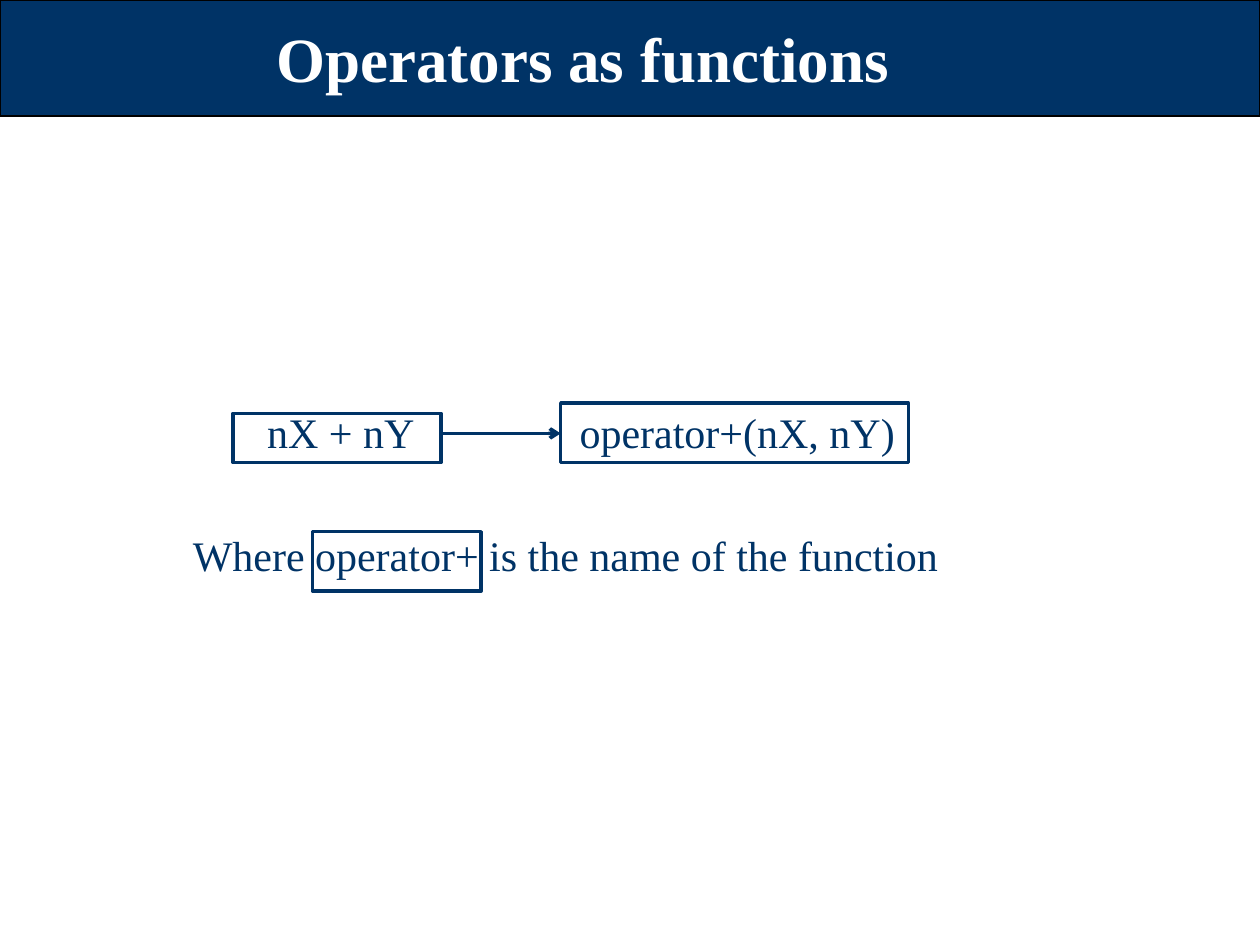
"""Build a slide that shows an operator expression as a function call."""
import pptx
import pptx.dml.color
import pptx.enum.shapes
import pptx.enum.text
import pptx.oxml.ns
import pptx.util
from lxml import etree

Inches = pptx.util.Inches
Pt = pptx.util.Pt
qn = pptx.oxml.ns.qn
RECTANGLE = pptx.enum.shapes.MSO_SHAPE.RECTANGLE
COLORS = {name: pptx.dml.color.RGBColor.from_string(value) for name, value in {
    "navy": "003366", "white": "FFFFFF", "black": "000000"}.items()}


def style_font(paragraph, size, color, bold):
    for run in paragraph.runs:
        run.font.name = "Times New Roman"
        run.font.size = Pt(size)
        run.font.bold = bold
        run.font.color.rgb = COLORS[color]


def add_rectangle(slide, left, top, width, height, line_color, line_width):
    shape = slide.shapes.add_shape(
        RECTANGLE, Inches(left), Inches(top), Inches(width), Inches(height))
    shape.shadow.inherit = False
    shape.fill.background()
    shape.line.color.rgb = COLORS[line_color]
    shape.line.width = Pt(line_width)
    return shape


presentation = pptx.Presentation()
presentation.slide_width = Inches(10)
presentation.slide_height = Inches(7.5)
slide = presentation.slides.add_slide(presentation.slide_layouts[1])

title_bar = add_rectangle(slide, 0, 0, 10, 0.92, "black", 0.75)
title_bar.fill.solid()
title_bar.fill.fore_color.rgb = COLORS["navy"]
slide.shapes.title._element.addprevious(title_bar._element)

title = slide.shapes.title
title.left, title.top = Inches(0.25), Inches(0.08)
title.width, title.height = Inches(8.75), Inches(0.75)
title.text_frame.text = "Operators as functions"
title.text_frame.vertical_anchor = pptx.enum.text.MSO_ANCHOR.MIDDLE
title.text_frame.paragraphs[0].alignment = pptx.enum.text.PP_ALIGN.CENTER
style_font(title.text_frame.paragraphs[0], 36, "white", True)

body = slide.placeholders[1]
body.left, body.top = Inches(1.53), Inches(3.23)
body.width, body.height = Inches(8.2), Inches(1.6)
text_frame = body.text_frame
text_frame.auto_size = pptx.enum.text.MSO_AUTO_SIZE.NONE
text_frame.margin_left = text_frame.margin_right = 0
text_frame.margin_top = text_frame.margin_bottom = 0
text_frame.text = "nX + nY\nWhere operator+ is the name of the function"
for paragraph, indent, space in zip(text_frame.paragraphs, (0.59, 0), (0, 41)):
    paragraph.space_before = Pt(space)
    properties = paragraph._p.get_or_add_pPr()
    properties.set("marL", "0")
    properties.set("indent", str(Inches(indent)))
    etree.SubElement(properties, qn("a:buNone"))
    style_font(paragraph, 24, "navy", False)

for left, top, width, height in ((1.85, 3.28, 1.65, 0.39), (2.48, 4.22, 1.34, 0.47)):
    add_rectangle(slide, left, top, width, height, "navy", 2)

call_box = add_rectangle(slide, 4.45, 3.2, 2.76, 0.47, "navy", 2)
call_frame = call_box.text_frame
call_frame.word_wrap = False
call_frame.vertical_anchor = pptx.enum.text.MSO_ANCHOR.TOP
call_frame.margin_left, call_frame.margin_top = Inches(0.15), Inches(0.03)
call_frame.margin_right = call_frame.margin_bottom = 0
call_frame.text = "operator+(nX, nY)"
call_frame.paragraphs[0].alignment = pptx.enum.text.PP_ALIGN.LEFT
style_font(call_frame.paragraphs[0], 24, "navy", False)

arrow = slide.shapes.add_connector(
    pptx.enum.shapes.MSO_CONNECTOR.STRAIGHT,
    Inches(3.5), Inches(3.44), Inches(4.45), Inches(3.44))
arrow.line.color.rgb = COLORS["navy"]
arrow.line.width = Pt(2)
etree.SubElement(arrow.line._get_or_add_ln(), qn("a:tailEnd"), type="arrow")
etree.SubElement(arrow._element.spPr, qn("a:effectLst"))

presentation.save("out.pptx")
